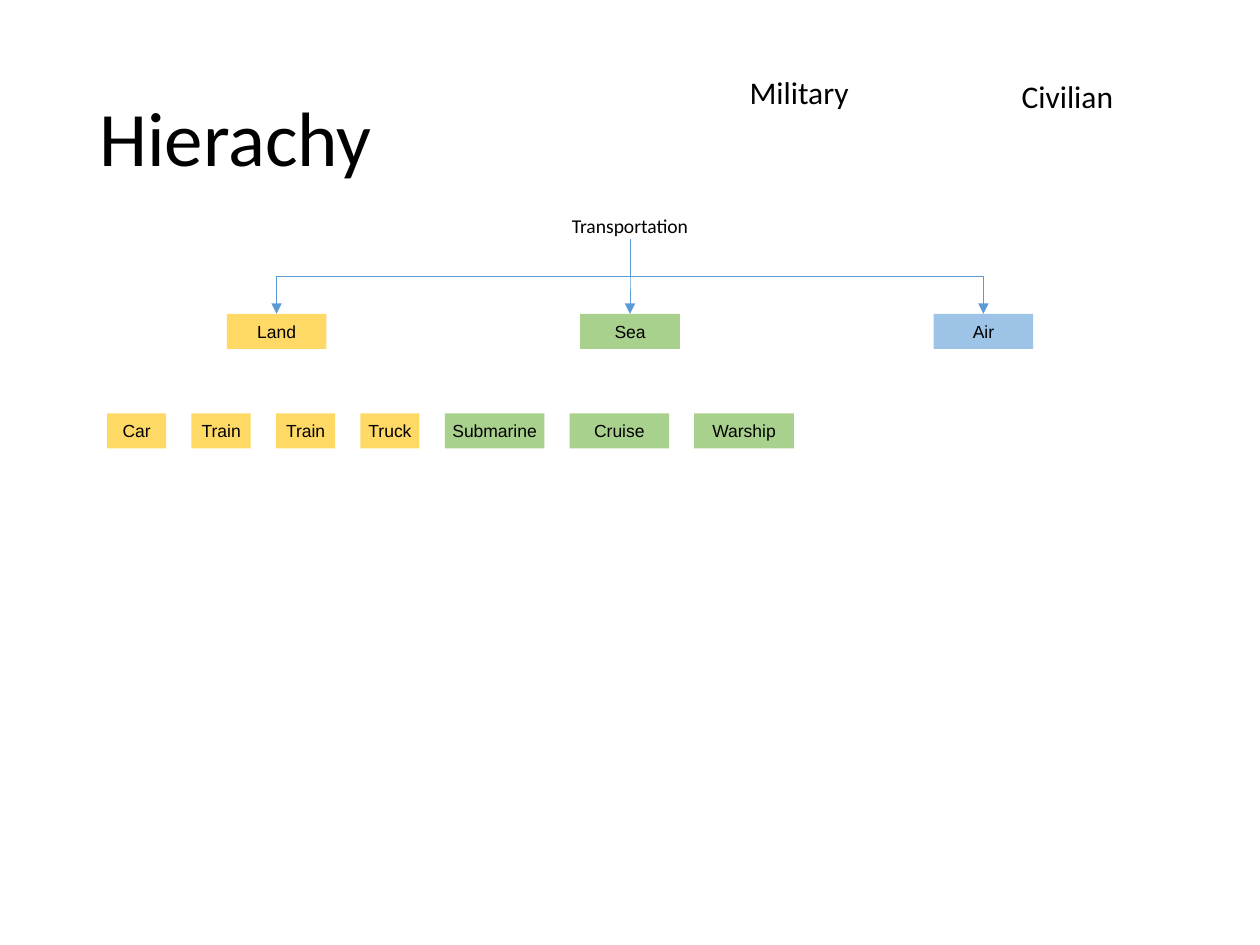
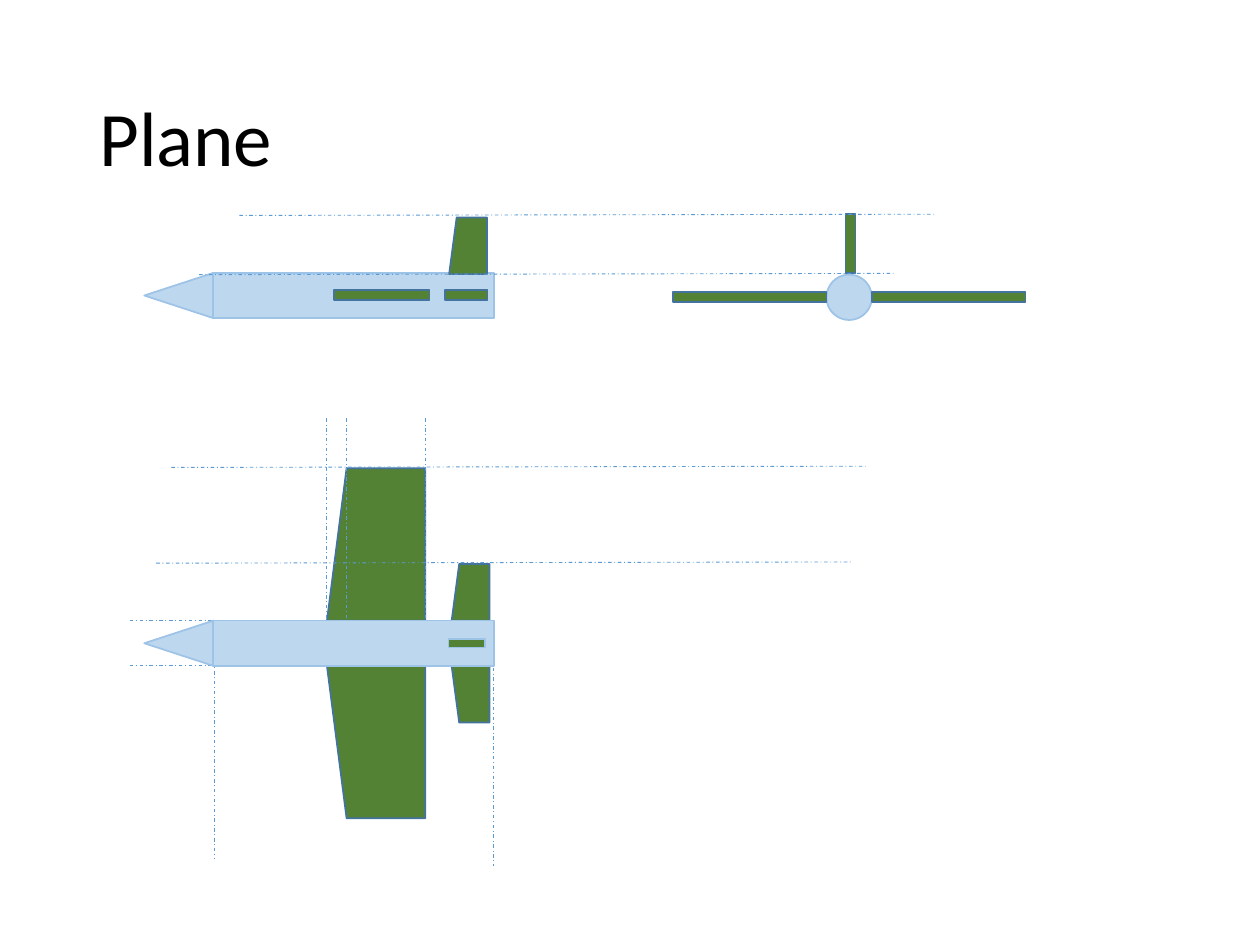
import dataclasses

import pptx
import pptx.dml.color
import pptx.enum.dml
import pptx.enum.shapes
import pptx.enum.text
import pptx.oxml
import pptx.oxml.ns
import pptx.util

SHAPE = pptx.enum.shapes.MSO_SHAPE
CONNECTOR = pptx.enum.shapes.MSO_CONNECTOR
ALIGN = pptx.enum.text.PP_ALIGN
ANCHOR = pptx.enum.text.MSO_ANCHOR
qn = pptx.oxml.ns.qn

SLIDE_WIDTH = pptx.util.Inches(10)
SLIDE_HEIGHT = pptx.util.Inches(7.5)
COLUMNS = 100
BOTTOM, TOP = 2, 0


@dataclasses.dataclass(frozen=True)
class Theme:
    text: str = "000000"
    land: str = "FFD966"
    sea: str = "A9D18E"
    air: str = "9DC3E6"
    link: str = "5B9BD5"
    hull: str = "BDD7EE"
    hull_edge: str = "9DC3E6"
    wing: str = "548235"
    wing_edge: str = "43739E"
    heading_font: str = "Calibri"
    box_font: str = "Arial"
    title_size: float = 44
    label_size: float = 18
    root_size: float = 11.2
    box_size: float = 10
    thin: float = 0.5
    edge: float = 1


THEME = Theme()


def grid(*cells):
    return [round(cell * SLIDE_WIDTH / COLUMNS) for cell in cells]


def rgb(color):
    return pptx.dml.color.RGBColor.from_string(color)


def write(shape, text, font, size, align=ALIGN.LEFT, anchor=ANCHOR.TOP, flush=False):
    frame = shape.text_frame
    frame.text = text
    frame.vertical_anchor = anchor
    if flush:
        frame.margin_left = frame.margin_right = frame.margin_top = frame.margin_bottom = 0
    paragraph = frame.paragraphs[0]
    paragraph.alignment = align
    run_font = paragraph.runs[0].font
    run_font.name = font
    run_font.size = pptx.util.Pt(size)
    run_font.color.rgb = rgb(THEME.text)
    return paragraph


def add_label(slide, text, area, size, wrap=True, **layout):
    label = slide.shapes.add_textbox(*grid(*area))
    label.text_frame.word_wrap = wrap
    return label, write(label, text, THEME.heading_font, size, **layout)


def add_title(slide, text):
    _, paragraph = add_label(
        slide, text, (6.9, 4, 86.3, 14.5), THEME.title_size, anchor=ANCHOR.MIDDLE
    )
    paragraph.line_spacing = 0.9


def add_part(slide, kind, area, fill, edge=None, turn=0, flip=False):
    left, top, width, height = grid(*area)
    if turn:
        left += (width - height) // 2
        top += (height - width) // 2
        width, height = height, width
    part = slide.shapes.add_shape(kind, left, top, width, height)
    part.shadow.inherit = False
    part.fill.solid()
    part.fill.fore_color.rgb = rgb(fill)
    if edge:
        part.line.color.rgb = rgb(edge)
        part.line.width = pptx.util.Pt(THEME.edge)
    else:
        part.line.fill.background()
    part.rotation = turn
    if flip:
        part.element.spPr.find(qn("a:xfrm")).set("flipV", "1")
    return part


def add_box(slide, text, left, top, width, fill):
    box = add_part(slide, SHAPE.RECTANGLE, (left, top, width, 2.8), fill)
    write(box, text, THEME.box_font, THEME.box_size, ALIGN.CENTER, ANCHOR.MIDDLE, flush=True)
    return box


def add_line(slide, kind, start, end):
    line = slide.shapes.add_connector(kind, *start, *end)
    line.line.color.rgb = rgb(THEME.link)
    line.line.width = pptx.util.Pt(THEME.thin)
    line.element.spPr.append(pptx.oxml.parse_xml(
        f'<a:effectLst {pptx.oxml.ns.nsdecls("a")}/>'
    ))
    return line


def add_guide(slide, x1, y1, x2, y2):
    guide = add_line(slide, CONNECTOR.STRAIGHT, grid(x1, y1), grid(x2, y2))
    guide.line.dash_style = pptx.enum.dml.MSO_LINE.DASH_DOT


def add_branch(slide, parent, child):
    x1, y1 = parent.left + parent.width // 2, parent.top + parent.height
    x2, y2 = child.left + child.width // 2, child.top
    branch = add_line(slide, CONNECTOR.ELBOW, (x1, y1), (x2, y2))
    branch.begin_connect(parent, BOTTOM)
    branch.end_connect(child, TOP)
    drop, reach = y2 - y1, abs(x2 - x1)
    branch.left, branch.top = (x1 + x2 - drop) // 2, (y1 + y2 - reach) // 2
    branch.width, branch.height = drop, reach
    frame = branch.element.spPr.find(qn("a:xfrm"))
    frame.attrib.clear()
    frame.set("rot", "5400000")
    if x2 > x1:
        frame.set("flipV", "1")
    branch.line._get_or_add_ln().append(pptx.oxml.parse_xml(
        f'<a:tailEnd {pptx.oxml.ns.nsdecls("a")} type="triangle"/>'
    ))


def add_fuselage(slide, top):
    add_part(slide, SHAPE.FLOWCHART_EXTRACT, (11.45, top, 5.5, 3.6),
             THEME.hull, THEME.hull_edge, turn=270)
    add_part(slide, SHAPE.RECTANGLE, (16.9, top, 22.3, 3.6), THEME.hull, THEME.hull_edge)


def add_surface(slide, left, top, width, height, upward):
    add_part(slide, SHAPE.FLOWCHART_MANUAL_INPUT, (left, top, width, height),
             THEME.wing, THEME.wing_edge, turn=90 if upward else 270, flip=upward)


def add_slab(slide, *area, edge=THEME.wing_edge):
    add_part(slide, SHAPE.RECTANGLE, area, THEME.wing, edge)


def build_hierarchy(slide):
    add_title(slide, "Hierachy")
    add_label(slide, "Military", (58.5, 5.3, 12.1, 4), THEME.label_size)
    add_label(slide, "Civilian", (80.1, 5.6, 12.1, 4), THEME.label_size)
    root, _ = add_label(slide, "Transportation", (44.2, 17, 11.6, 2), THEME.root_size,
                        wrap=False, align=ALIGN.CENTER, flush=True)

    wide, narrow, gap = 7.9, 4.7, 2
    domains = [("Land", THEME.land), ("Sea", THEME.sea), ("Air", THEME.air)]
    for position, (domain, color) in enumerate(domains):
        box = add_box(slide, domain, 18 + 28.05 * position, 24.9, wide, color)
        add_branch(slide, root, box)

    left = 8.5
    fleets = [
        (narrow, THEME.land, ["Car", "Train", "Train", "Truck"]),
        (wide, THEME.sea, ["Submarine", "Cruise", "Warship"]),
    ]
    for width, color, vehicles in fleets:
        for vehicle in vehicles:
            add_box(slide, vehicle, left, 32.8, width, color)
            left += width + gap


def build_plane(slide):
    add_title(slide, "Plane")
    side_top, plan_top, hull_height = 21.65, 49.25, 3.6
    plan_bottom = plan_top + hull_height

    for left, width, span in [(25.95, 7.8, 12.1), (35.85, 3, 4.5)]:
        add_surface(slide, left, plan_top - span, width, span, upward=True)
        add_surface(slide, left, plan_bottom, width, span, upward=False)

    for x in (25.9, 27.5, 33.8):
        add_guide(slide, x, 33.2, x, 51.1)
    for y in (plan_top, plan_bottom):
        add_guide(slide, 10.3, y, 26.8, y)
    for x, y in [(17, 51.7), (39.2, 52.2)]:
        add_guide(slide, x, y, x, y + 16.5)
    for x, y in [(13.6, 37.1), (12.4, 44.7)]:
        add_guide(slide, x, y, x + 55.1, y - 0.1)

    add_fuselage(slide, side_top)
    add_fuselage(slide, plan_top)

    add_part(slide, SHAPE.OVAL, (65.6, 21.8, 3.6, 3.6), THEME.hull, THEME.hull_edge)
    for left in (53.4, 69.2):
        add_slab(slide, left, 23.2, 12.2, 0.75)
    add_slab(slide, 67.1, 17, 0.8, 4.7)

    add_slab(slide, 26.5, 23, 7.6, 0.8)
    add_slab(slide, 35.3, 23, 3.4, 0.8)
    add_slab(slide, 35.6, 50.7, 2.9, 0.7, edge=THEME.hull_edge)
    add_surface(slide, 35.65, 17.25, 3, 4.5, upward=True)

    for x, y in [(15.8, 21.8), (19, 17.1)]:
        add_guide(slide, x, y, x + 55.1, y - 0.1)


def main():
    deck = pptx.Presentation()
    deck.slide_width, deck.slide_height = SLIDE_WIDTH, SLIDE_HEIGHT
    blank = deck.slide_layouts[6]
    for build in (build_hierarchy, build_plane):
        build(deck.slides.add_slide(blank))
    deck.save("out.pptx")


if __name__ == "__main__":
    main()
